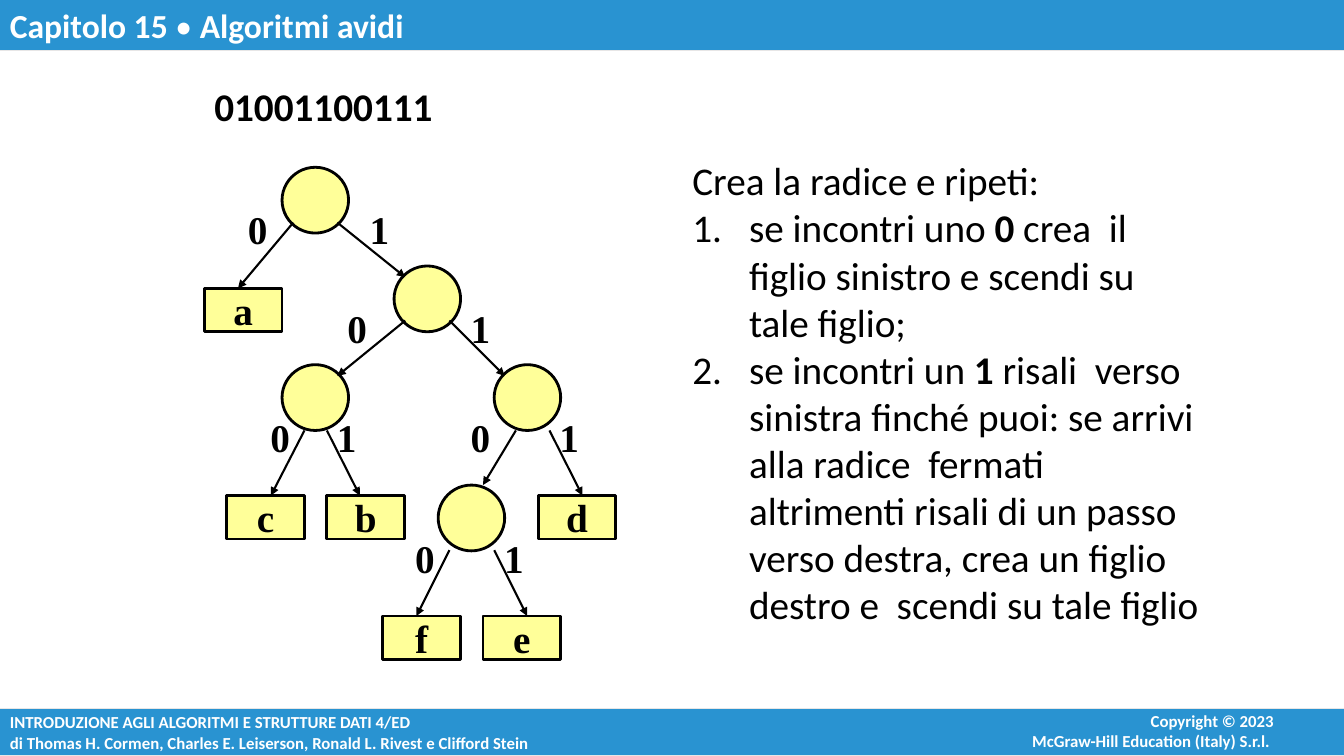
import lxml.etree
import pptx
import pptx.dml.color
import pptx.enum.shapes
import pptx.enum.text
import pptx.oxml.ns
import pptx.util

Pt = pptx.util.Pt
RGB = pptx.dml.color.RGBColor.from_string
qn = pptx.oxml.ns.qn
Kind = pptx.enum.shapes.MSO_SHAPE
Align = pptx.enum.text.PP_ALIGN
Anchor = pptx.enum.text.MSO_ANCHOR


class Theme:
    blue = RGB("2993D1")
    edge = RGB("E7E6E6")
    node = RGB("FFFF99")
    ink = RGB("000000")
    white = RGB("FFFFFF")
    sans = "Calibri"
    serif = "Times New Roman"
    small, head, body = Pt(12), Pt(24), Pt(28)


deck = pptx.Presentation()
deck.slide_width, deck.slide_height = Pt(960), Pt(540)
slide = deck.slides.add_slide(deck.slide_layouts[6])
shapes = slide.shapes


def draw(kind, x, y, w, h, fill, line, width):
    shape = shapes.add_shape(kind, Pt(x), Pt(y), Pt(w), Pt(h))
    shape.shadow.inherit = False
    shape.fill.solid()
    shape.fill.fore_color.rgb = fill
    shape.line.color.rgb = line
    shape.line.width = Pt(width)
    return shape


def write(shape, lines, size, color, font=Theme.sans, bold=False,
          align=Align.LEFT, anchor=Anchor.TOP, wrap=True):
    """Fill a shape with paragraphs; pieces between bars get the other weight."""
    frame = shape.text_frame
    frame.word_wrap = wrap
    frame.vertical_anchor = anchor
    for i, line in enumerate(lines):
        para = frame.add_paragraph() if i else frame.paragraphs[0]
        para.alignment = align
        for j, piece in enumerate(line.split("|")):
            run = para.add_run()
            run.text = piece
            run.font.name, run.font.size = font, size
            run.font.color.rgb = color
            run.font.bold = bold != (j % 2 == 1)


# Header and footer
foot = draw(Kind.RECTANGLE, 0, 506, 961, 34, Theme.blue, Theme.edge, 0.75)
write(foot, ["INTRODUZIONE AGLI ALGORITMI E STRUTTURE DATI 4/ED",
             "di Thomas H. Cormen, Charles E. Leiserson, Ronald L. Rivest e Clifford Stein"],
      Theme.small, Theme.white, bold=True, anchor=Anchor.MIDDLE)
rights = shapes.add_textbox(Pt(640), Pt(504), Pt(277), Pt(36))
write(rights, ["Copyright © 2023", "McGraw-Hill Education (Italy) S.r.l. "],
      Theme.small, Theme.white, bold=True, align=Align.RIGHT)
top = draw(Kind.RECTANGLE, 0, 0, 961, 36, Theme.blue, Theme.edge, 0.75)
write(top, ["Capitolo 15 |•| Algoritmi avidi"], Theme.head, Theme.white, bold=True)

# Inner nodes: x, y, drop to the edges, drop to the labels,
# then for bits 0 and 1: edge start x, edge end x and y, label x
nodes = [
    (201.5, 119.5, 39.5, 23, [(209.5, 170, 206, 170), (241, 289.5, 198, 257)]),
    (281.5, 190, 39, 23, [(289.5, 241, 268.5, 241), (321, 360.5, 268.5, 329)]),
    (201.5, 260.5, 47, 30.5, [(217.5, 193.5, 354, 186), (233.5, 257, 354, 233.5)]),
    (353, 260.5, 47, 30.5, [(368.5, 345, 346.5, 329), (392.5, 416, 354, 392.5)]),
    (313, 346.5, 46.5, 31, [(321, 297.5, 440, 289.5), (353, 376.5, 440, 353)]),
]
leaves = [("a", 146, 206), ("b", 233.5, 354), ("c", 162, 354),
          ("d", 384.5, 354), ("f", 273.5, 440), ("e", 345, 440)]

for x, y, drop, gap, edges in nodes:
    draw(Kind.OVAL, x, y, 47.5, 47, Theme.node, Theme.ink, 2)

for x, y, drop, gap, edges in nodes:
    for bit, (start, end, low, left) in enumerate(edges):
        arrow = shapes.add_connector(pptx.enum.shapes.MSO_CONNECTOR.STRAIGHT,
                                     Pt(start), Pt(y + drop), Pt(end), Pt(low))
        arrow.line.color.rgb = Theme.ink
        arrow.line.width = Pt(1.5)
        props = arrow._element.spPr
        lxml.etree.SubElement(props.find(qn("a:ln")), qn("a:tailEnd"), type="triangle")
        lxml.etree.SubElement(props, qn("a:effectLst"))
        label = shapes.add_textbox(Pt(left), Pt(y + gap), Pt(29), Pt(42.5))
        write(label, [str(bit)], Theme.body, Theme.ink, Theme.serif, True,
              anchor=Anchor.MIDDLE, wrap=False)

for name, x, y in leaves:
    leaf = draw(Kind.RECTANGLE, x, y, 55.5, 31, Theme.node, Theme.ink, 2)
    write(leaf, [name], Theme.body, Theme.ink, Theme.serif, True,
          Align.CENTER, Anchor.MIDDLE, False)

# Code string and rules
code = shapes.add_textbox(Pt(146), Pt(55), Pt(173), Pt(41))
write(code, ["01001100111"], Theme.body, Theme.ink, bold=True, wrap=False)
rules = shapes.add_textbox(Pt(487.5), Pt(142), Pt(376.5), Pt(314.5))
write(rules, [
    "se incontri uno |0| crea  il figlio sinistro e scendi su tale figlio;",
    "se incontri un |1| risali  verso sinistra finché puoi: se arrivi alla radice  fermati "
    "altrimenti risali di un passo verso destra, crea un figlio destro e  scendi su tale figlio",
], Theme.body, Theme.ink)
for para in rules.text_frame.paragraphs:
    props = para._p.get_or_add_pPr()
    props.set("marL", str(Pt(40.5)))
    props.set("indent", str(-Pt(40.5)))
    lxml.etree.SubElement(props, qn("a:buFont"), typeface="+mj-lt")
    lxml.etree.SubElement(props, qn("a:buAutoNum"), type="arabicPeriod")
    para.font.size = Theme.body
intro = shapes.add_textbox(Pt(487.5), Pt(108), Pt(265), Pt(41))
write(intro, ["Crea la radice e ripeti:"], Theme.body, Theme.ink, wrap=False)

deck.save("out.pptx")
